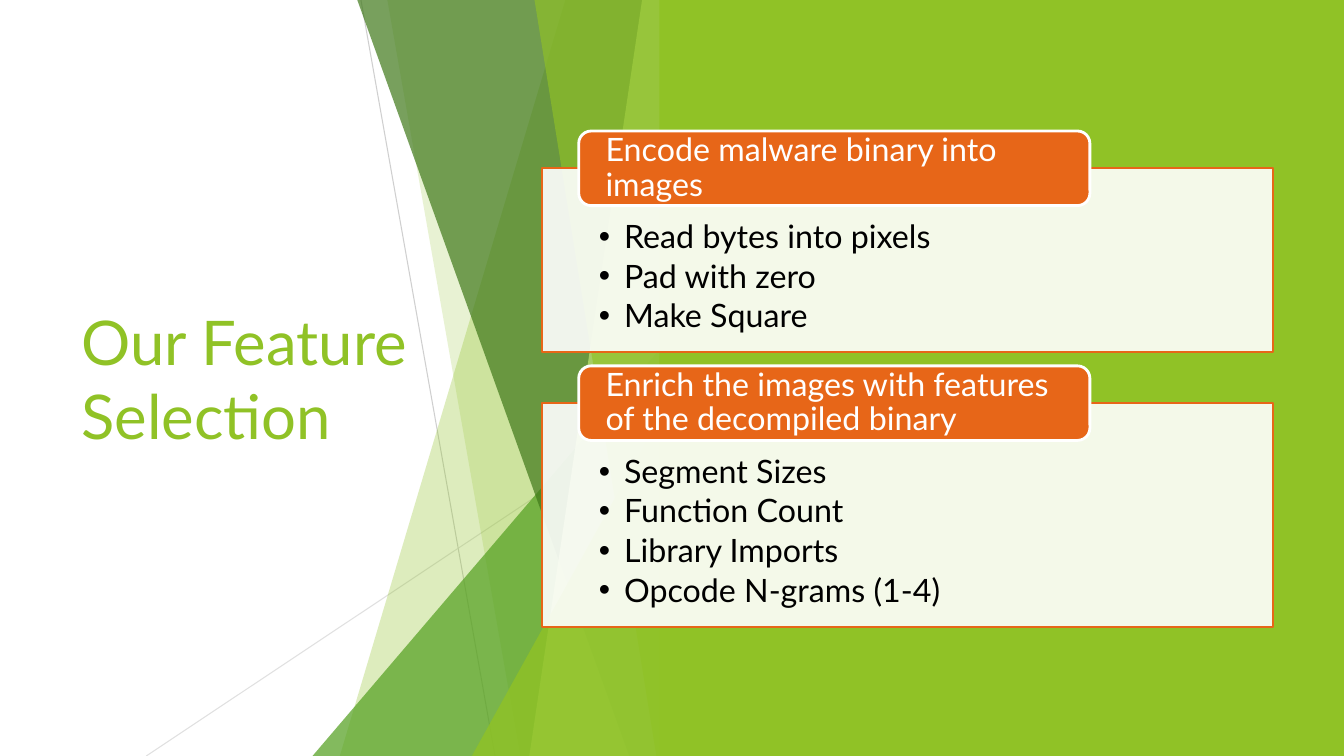
from dataclasses import dataclass

from lxml import etree
from pptx import Presentation
from pptx import util as u
from pptx.dml.color import RGBColor
from pptx.enum import shapes, text
from pptx.oxml.ns import qn

FONT = "Lato"
GREEN, ORANGE, WHITE = "90C226", "E76618", "FFFFFF"
EDGE = 6.66  # right side of the facets
TOP, BASE = -0.01, 7.5


@dataclass
class Ray:
    start: tuple[float, float]
    end: tuple[float, float]
    color: str
    alpha: int


@dataclass
class Slice:
    top: float  # left corner on the upper edge
    low: float  # left corner on the lower edge
    color: str
    alpha: int


@dataclass
class Wedge:
    left: float
    top: float
    color: str
    alpha: int


@dataclass
class Card:
    top: float
    height: float
    head: str
    items: list[str]


RAYS = [
    Ray((3.58, 0), (4.91, 7.5), "BFBFBF", 75),
    Ray((6.66, 4.03), (1.45, 7.5), "D9D9D9", 80),
]
FACETS = [
    Slice(5.61, 3.37, GREEN, 30),
    Slice(3.84, 5.16, GREEN, 20),
    Wedge(3.1, 3.33, "54A021", 72),
    Slice(3.54, 6.24, "3F7819", 70),
    Slice(6.37, 5.25, "C0E474", 70),
    Slice(5.3, 6.51, GREEN, 65),
    Wedge(4.68, 3.93, GREEN, 80),
]
CARDS = [
    Card(1.67, 1.82, "Encode malware binary into images",
         ["Read bytes into pixels", "Pad with zero", "Make Square"]),
    Card(4, 2.22, "Enrich the images with features of the decompiled binary",
         ["Segment Sizes", "Function Count", "Library Imports",
          "Opcode N-grams (1-4)"]),
]


def paint(fmt, color: str, alpha: int = 100) -> None:
    """Give a fill a solid colour with an opacity in percent."""
    fmt.solid()
    fmt.fore_color.rgb = RGBColor.from_string(color)
    if alpha < 100:
        tone = fmt.fore_color._xFill.find(qn("a:srgbClr"))
        etree.SubElement(tone, qn("a:alpha"), val=str(alpha * 1000))


def stroke(shape, color: str, width: float, alpha: int = 100) -> None:
    paint(shape.line.fill, color, alpha)
    shape.line.width = u.Pt(width)


def place(shape, left: float, top: float, width: float, height: float) -> None:
    shape.left, shape.top = u.Inches(left), u.Inches(top)
    shape.width, shape.height = u.Inches(width), u.Inches(height)


def inset(frame, left: float, top: float, right: float, low: float) -> None:
    frame.margin_left, frame.margin_top = u.Inches(left), u.Inches(top)
    frame.margin_right, frame.margin_bottom = u.Inches(right), u.Inches(low)
    frame.word_wrap = True
    frame.auto_size = text.MSO_AUTO_SIZE.NONE


def style(para, size: float, color: str) -> None:
    para.alignment = text.PP_ALIGN.LEFT
    para.space_before = u.Pt(0)
    for run in para.runs:
        run.font.name = FONT
        run.font.size = u.Pt(size)
        run.font.color.rgb = RGBColor.from_string(color)


def add_ray(slide, ray: Ray) -> None:
    line = slide.shapes.add_connector(
        shapes.MSO_CONNECTOR.STRAIGHT,
        *(u.Inches(v) for v in ray.start + ray.end))
    stroke(line, ray.color, 0.75, ray.alpha)
    etree.SubElement(line.element.spPr, qn("a:effectLst"))


def add_box(slide, kind, left: float, top: float, width: float, height: float):
    return slide.shapes.add_shape(
        kind, *(u.Inches(v) for v in (left, top, width, height)))


def add_facet(slide, facet: Slice | Wedge) -> None:
    if isinstance(facet, Wedge):
        shape = add_box(slide, shapes.MSO_SHAPE.ISOSCELES_TRIANGLE, facet.left,
                        facet.top, EDGE - facet.left, BASE - facet.top)
        shape.adjustments[0] = 1
    else:
        path = slide.shapes.build_freeform(u.Inches(facet.top), u.Inches(TOP))
        path.add_line_segments(
            [(u.Inches(x), u.Inches(y))
             for x, y in ((EDGE, TOP), (EDGE, BASE), (facet.low, BASE))])
        shape = path.convert_to_shape()
    shape.shadow.inherit = False
    paint(shape.fill, facet.color, facet.alpha)
    shape.line.fill.background()


def add_card(slide, body, card: Card) -> None:
    # Bulleted panel
    slide.shapes.element.append(body.element)
    place(body, 5.38, card.top, 7.25, card.height)
    paint(body.fill, WHITE, 90)
    stroke(body, ORANGE, 1.5)
    frame = body.text_frame
    inset(frame, 0.56, 0.52, 0.56, 0.18)
    frame.vertical_anchor = text.MSO_ANCHOR.TOP
    frame.text = "\n".join(card.items)
    for para in frame.paragraphs:
        props = para._p.get_or_add_pPr()
        props.set("marL", str(u.Inches(0.25)))
        props.set("indent", str(u.Inches(-0.25)))
        style(para, 23, "000000")
        para.line_spacing = 0.9
        para.space_after = u.Pt(3.4)

    # Heading tab over the upper edge
    tab = add_box(slide, shapes.MSO_SHAPE.ROUNDED_RECTANGLE,
                  5.74, card.top - 0.37, 5.07, 0.74)
    tab.shadow.inherit = False
    paint(tab.fill, ORANGE)
    stroke(tab, WHITE, 2)
    frame = tab.text_frame
    inset(frame, 0.23, 0, 0.23, 0)
    frame.vertical_anchor = text.MSO_ANCHOR.MIDDLE
    frame.text = card.head
    style(frame.paragraphs[0], 23, WHITE)
    frame.paragraphs[0].line_spacing = 0.9


def main() -> None:
    deck = Presentation()
    deck.slide_width, deck.slide_height = u.Inches(13.33), u.Inches(7.5)
    slide = deck.slides.add_slide(deck.slide_layouts[3])
    title, *bodies = slide.placeholders

    # Backdrop
    for ray in RAYS:
        add_ray(slide, ray)
    for facet in FACETS:
        add_facet(slide, facet)
    panel = add_box(slide, shapes.MSO_SHAPE.RECTANGLE, 6.54, 0, 6.79, 7.5)
    panel.shadow.inherit = False
    paint(panel.fill, GREEN)
    panel.line.fill.background()

    # Title
    slide.shapes.element.append(title.element)
    place(title, 0.71, 1.51, 3.88, 4.48)
    frame = title.text_frame
    inset(frame, 0.1, 0.05, 0.1, 0.05)
    frame.vertical_anchor = text.MSO_ANCHOR.MIDDLE
    frame.text = "Our Feature Selection"
    style(frame.paragraphs[0], 44, GREEN)

    # Feature cards
    for body, card in zip(bodies, CARDS):
        add_card(slide, body, card)

    deck.save("out.pptx")


if __name__ == "__main__":
    main()
